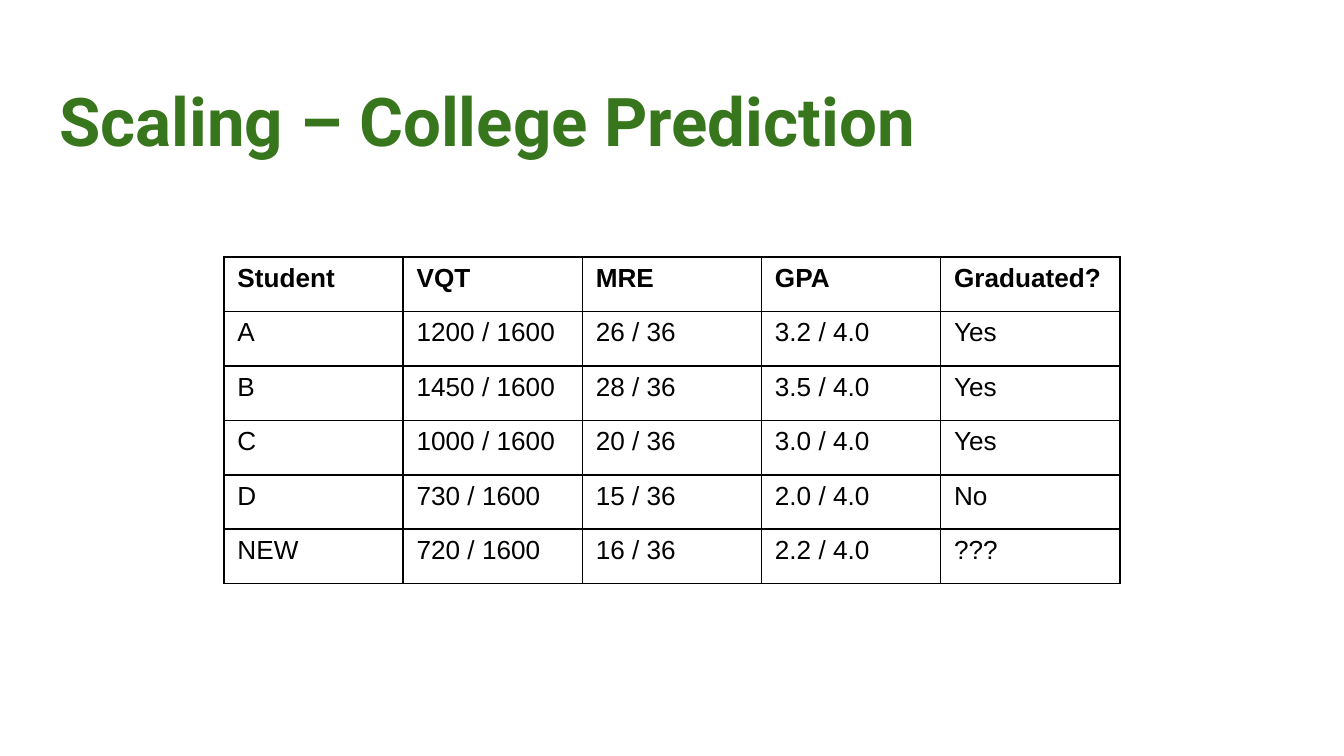
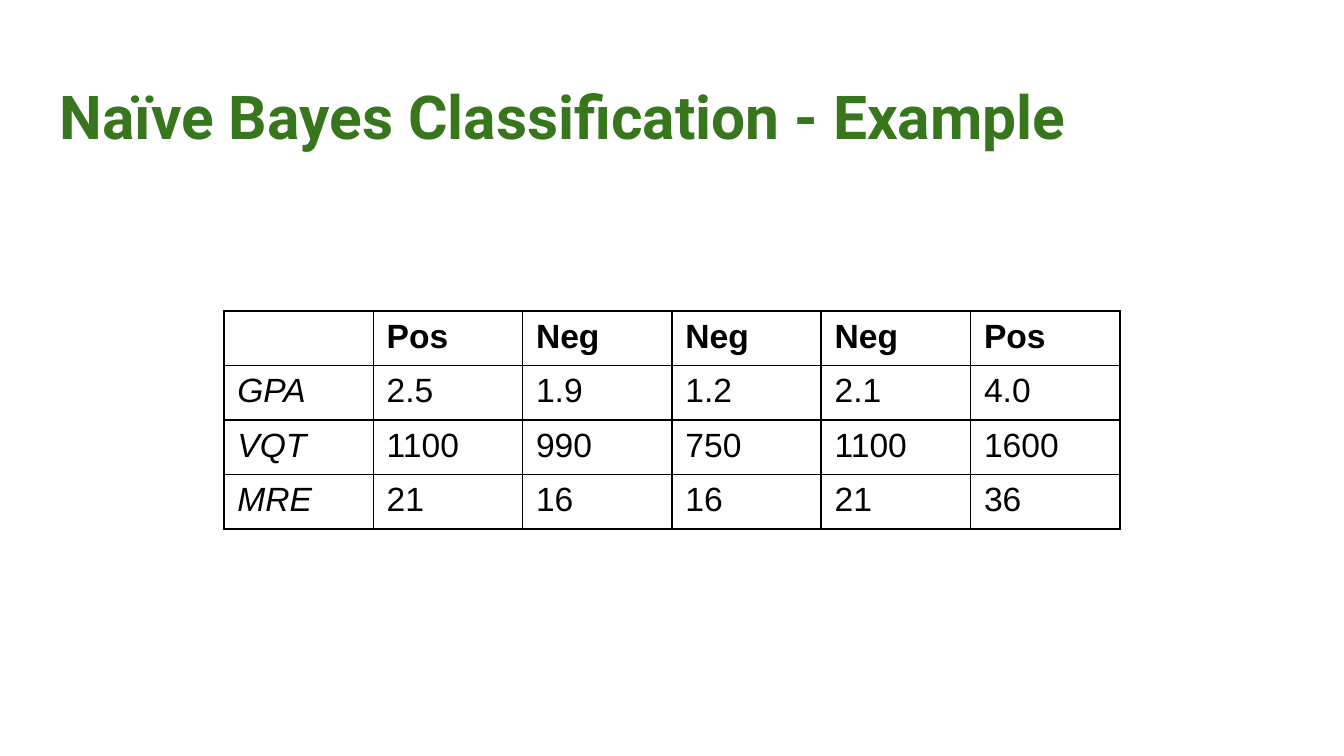
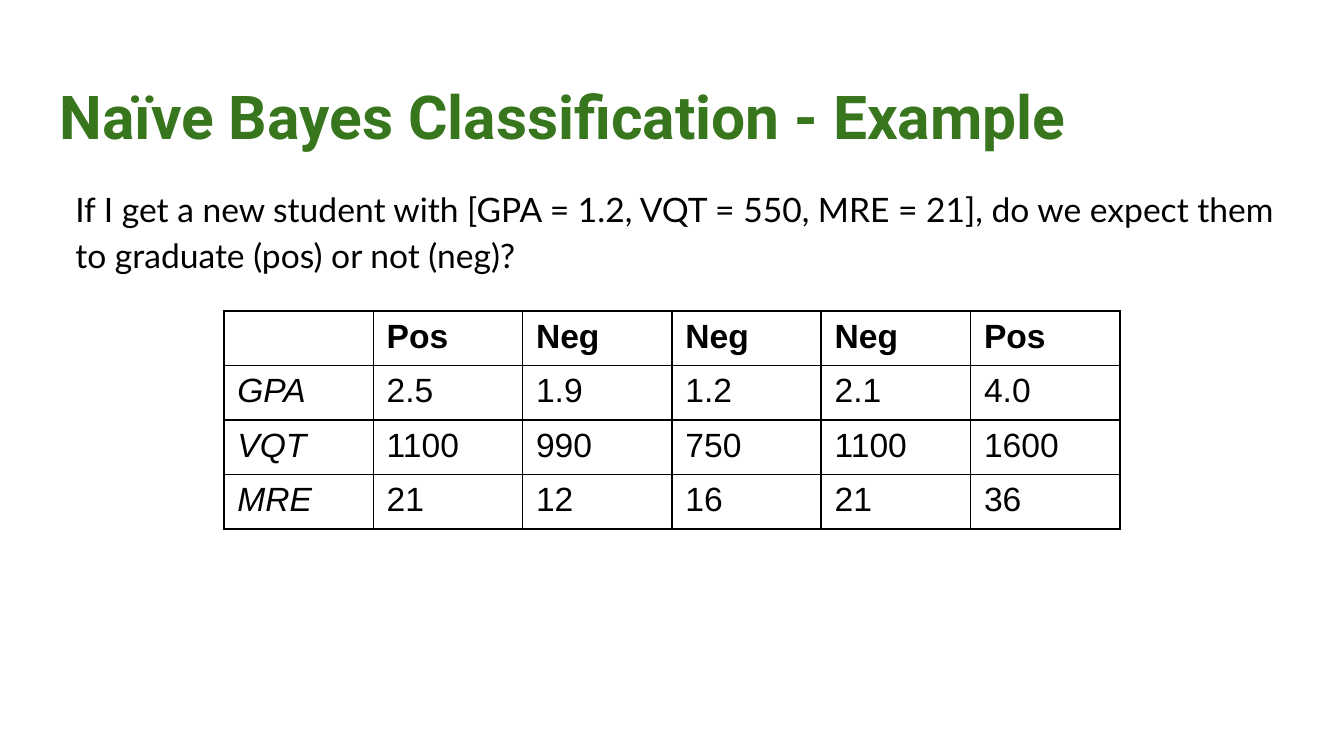
from lxml import etree
from pptx import Presentation
from pptx import util as u
from pptx.dml.color import RGBColor
from pptx.enum import text
from pptx.oxml.ns import qn

PX = 914400 / 134.4
COLORS = {"title": "38761D", "ink": "000000", "paper": "FFFFFF"}
TABLE_LEFT, TABLE_WIDTH, ROW_HEIGHT = 224, 896, 54.5
INSET = u.Inches(0.1)


def format_text(text_frame, font_name, size, color, bold=False, italic=False):
    for paragraph in text_frame.paragraphs:
        for run in paragraph.runs:
            run.font.name = font_name
            run.font.size = u.Pt(size)
            run.font.bold = bold
            run.font.italic = italic
            run.font.color.rgb = RGBColor.from_string(COLORS[color])


def set_box(shape, left, top, width, height):
    """Place a text shape and give it the shared frame settings."""
    shape.left, shape.top = round(left * PX), round(top * PX)
    shape.width, shape.height = round(width * PX), round(height * PX)
    frame = shape.text_frame
    frame.word_wrap = True
    frame.auto_size = text.MSO_AUTO_SIZE.NONE
    frame.vertical_anchor = text.MSO_ANCHOR.TOP
    frame.margin_left = frame.margin_right = INSET
    frame.margin_top = frame.margin_bottom = INSET


college_rows = [
    ["Student", "VQT", "MRE", "GPA", "Graduated?"],
    ["A", "1200 / 1600", "26 / 36", "3.2 / 4.0", "Yes"],
    ["B", "1450 / 1600", "28 / 36", "3.5 / 4.0", "Yes"],
    ["C", "1000 / 1600", "20 / 36", "3.0 / 4.0", "Yes"],
    ["D", "730 / 1600", "15 / 36", "2.0 / 4.0", "No"],
    ["NEW", "720 / 1600", "16 / 36", "2.2 / 4.0", "???"],
]
score_rows = [
    ["", "Pos", "Neg", "Neg", "Neg", "Pos"],
    ["GPA", "2.5", "1.9", "1.2", "2.1", "4.0"],
    ["VQT", "1100", "990", "750", "1100", "1600"],
]
mre_first = ["MRE", "21", "16", "16", "21", "36"]
mre_second = ["MRE", "21", "12", "16", "21", "36"]
bayes_title = "Naïve Bayes Classification - Example"
question = ("If I get a new student with [GPA = 1.2, VQT = 550, MRE = 21], "
            "do we expect them to graduate (pos) or not (neg)?")

slides = [
    {"title": "Scaling – College Prediction", "title_size": 36, "body": None,
     "rows": college_rows, "table_top": 257, "cell_size": 14,
     "italic_labels": False, "filled": False},
]
for body, mre_row in [(None, mre_first), (question, mre_second)]:
    slides.append({"title": bayes_title, "title_size": 32.4, "body": body,
                   "rows": score_rows + [mre_row], "table_top": 311,
                   "cell_size": 18, "italic_labels": True, "filled": True})

presentation = Presentation()
presentation.slide_width = round(1344 * PX)
presentation.slide_height = round(756 * PX)
title_only = presentation.slide_layouts[5]

for content in slides:
    slide = presentation.slides.add_slide(title_only)

    title = slide.shapes.title
    set_box(title, 46, 66, 1253, 84)
    title.text_frame.text = content["title"]
    title.text_frame.paragraphs[0].alignment = text.PP_ALIGN.LEFT
    format_text(title.text_frame, "Roboto", content["title_size"], "title", bold=True)

    if content["body"]:
        body_box = slide.shapes.add_textbox(0, 0, 0, 0)
        set_box(body_box, 46, 169, 1253, 503)
        body_box.text_frame.text = content["body"]
        paragraph = body_box.text_frame.paragraphs[0]
        paragraph.line_spacing = 1.15
        properties = paragraph._p.get_or_add_pPr()
        properties.set("marL", str(u.Inches(0.12)))
        properties.set("indent", "0")
        format_text(body_box.text_frame, "Lato", 18, "ink")

    rows = content["rows"]
    table = slide.shapes.add_table(
        len(rows), len(rows[0]), round(TABLE_LEFT * PX), round(content["table_top"] * PX),
        round(TABLE_WIDTH * PX), round(ROW_HEIGHT * len(rows) * PX)).table
    table.first_row = table.horz_banding = False
    for row_index, row in enumerate(rows):
        for column_index, value in enumerate(row):
            cell = table.cell(row_index, column_index)
            cell.text_frame.text = value
            is_header = row_index == 0
            is_label = content["italic_labels"] and column_index == 0
            format_text(cell.text_frame, "Arial", content["cell_size"], "ink",
                        bold=is_header, italic=is_label)
            cell_properties = cell._tc.get_or_add_tcPr()
            for side in ("lnL", "lnR", "lnT", "lnB"):
                border = etree.SubElement(cell_properties, qn(f"a:{side}"), w=str(u.Pt(1)))
                border_fill = etree.SubElement(border, qn("a:solidFill"))
                etree.SubElement(border_fill, qn("a:srgbClr"), val=COLORS["ink"])
            if content["filled"]:
                cell.fill.solid()
                cell.fill.fore_color.rgb = RGBColor.from_string(COLORS["paper"])
            else:
                cell.fill.background()

presentation.save("out.pptx")
